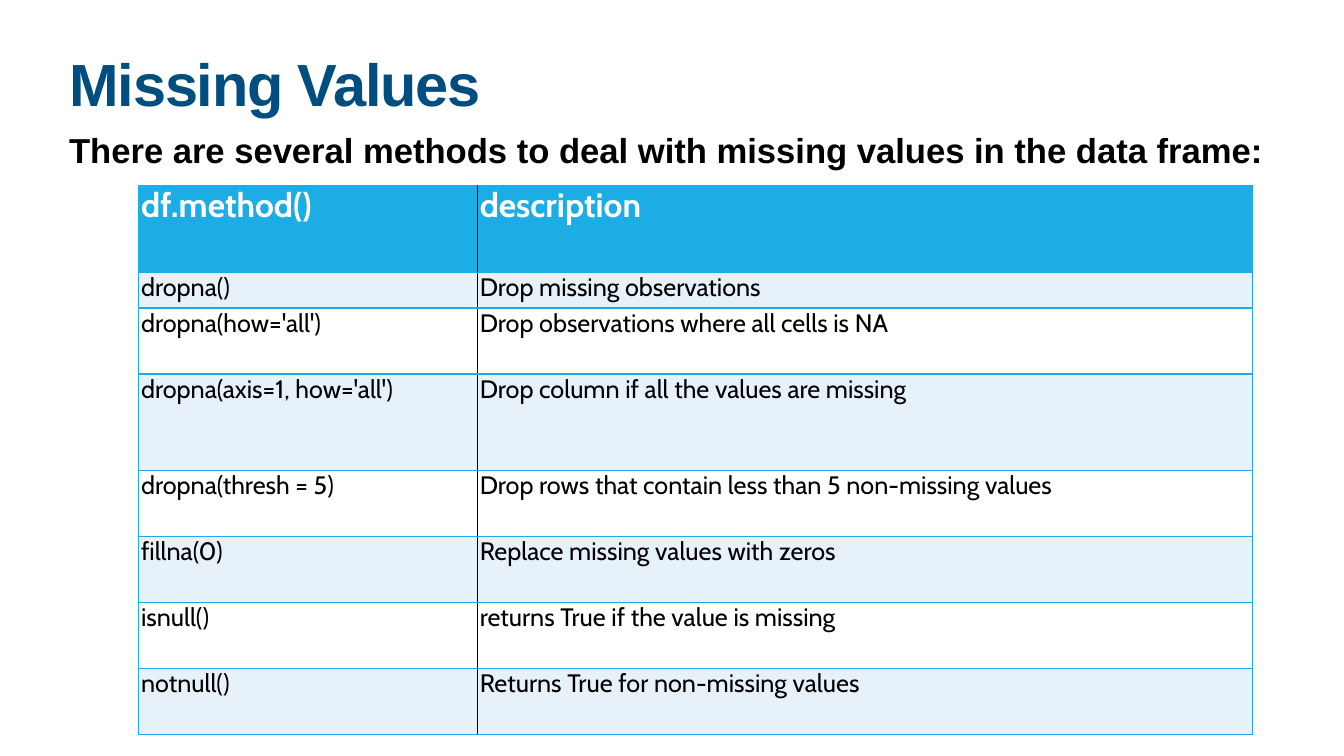
"""Build the slide listing data frame methods for missing values."""
from lxml import etree
from pptx import Presentation
from pptx import util as u
from pptx.dml.color import RGBColor
from pptx.enum import text
from pptx.oxml.ns import qn

BLUE, PALE, WHITE, BLACK, NAVY = "1CADE4", "E7F1FA", "FFFFFF", "000000", "004D80"
METHODS = [
    ("df.method()", "description", 11.47),
    ("dropna()", "Drop missing observations", 4.73),
    ("dropna(how='all')", "Drop observations where all cells is NA", 8.73),
    ("dropna(axis=1, how='all')", "Drop column if all the values are missing", 12.73),
    ("dropna(thresh = 5)", "Drop rows that contain less than 5 non-missing values", 8.73),
    ("fillna(0)", "Replace missing values with zeros", 8.73),
    ("isnull()", "returns True if the value is missing", 8.73),
    ("notnull()", "Returns True for non-missing values", 8.73),
]


def write(frame, words, font, size, color, bold, spacing=1.0):
    """Fill a text frame with one formatted paragraph."""
    para = frame.paragraphs[0]
    para.text = words
    para.alignment = text.PP_ALIGN.LEFT
    para.line_spacing = spacing
    para.space_before = u.Pt(0)
    para.font.name = font
    para.font.size = u.Pt(size)
    para.font.bold = bold
    para.font.color.rgb = RGBColor.from_string(color)
    return para


def draw_border(cell, side, color, points):
    """Add one solid border to a table cell."""
    properties = cell._tc.get_or_add_tcPr()
    line = etree.SubElement(properties, qn(f"a:ln{side}"), w=str(u.Pt(points)))
    fill = etree.SubElement(line, qn("a:solidFill"))
    etree.SubElement(fill, qn("a:srgbClr"), val=color)


deck = Presentation()
deck.slide_width, deck.slide_height = u.Inches(26.67), u.Inches(15)
column, row = deck.slide_width / 100, deck.slide_height / 100
page = deck.slides.add_slide(deck.slide_layouts[5])
inset = u.Inches(0.05)

title = page.shapes.title
title.left, title.top = int(4.95 * column), int(6.93 * row)
title.width, title.height = int(90.1 * column), int(10.47 * row)
frame = title.text_frame
frame.auto_size = text.MSO_AUTO_SIZE.NONE
frame.vertical_anchor = text.MSO_ANCHOR.TOP
frame.margin_left = frame.margin_right = frame.margin_bottom = u.Inches(0.06)
frame.margin_top = u.Inches(0.16)
para = write(frame, "Missing Values", "Arial", 85, NAVY, True, 0.8)
para.runs[0].font._element.set("spc", "-170")

box = page.shapes.add_textbox(
    int(4.95 * column), int(16.4 * row), int(90.1 * column), int(6.8 * row))
frame = box.text_frame
frame.word_wrap = True
frame.vertical_anchor = text.MSO_ANCHOR.MIDDLE
frame.margin_left = frame.margin_right = frame.margin_top = frame.margin_bottom = inset
write(frame, "There are several methods to deal with missing values in the data frame:",
      "Arial", 49.5, BLACK, True)

table = page.shapes.add_table(
    len(METHODS), 2, int(10.31 * column), int(24.53 * row),
    int(82.87 * column), int(72.58 * row)).table
table.horz_banding = False
table.columns[0].width, table.columns[1].width = int(25.2 * column), int(57.67 * column)

for index, (method, description, height) in enumerate(METHODS):
    table.rows[index].height = int(height * row)
    header = index == 0
    fill = BLUE if header else (PALE if index % 2 else WHITE)
    for position, words in enumerate((method, description)):
        cell = table.cell(index, position)
        cell.margin_left = cell.margin_right = cell.margin_top = cell.margin_bottom = inset
        cell.vertical_anchor = text.MSO_ANCHOR.TOP
        inner = "LR"[1 - position]
        for side in "LRTB":
            divider = side == inner
            draw_border(cell, side, BLACK if divider else BLUE, 1 if divider else 2)
        cell.fill.solid()
        cell.fill.fore_color.rgb = RGBColor.from_string(fill)
        write(cell.text_frame, words, "Cabin", 48 if header else 36,
              WHITE if header else BLACK, header, 0.9)

deck.save("out.pptx")
